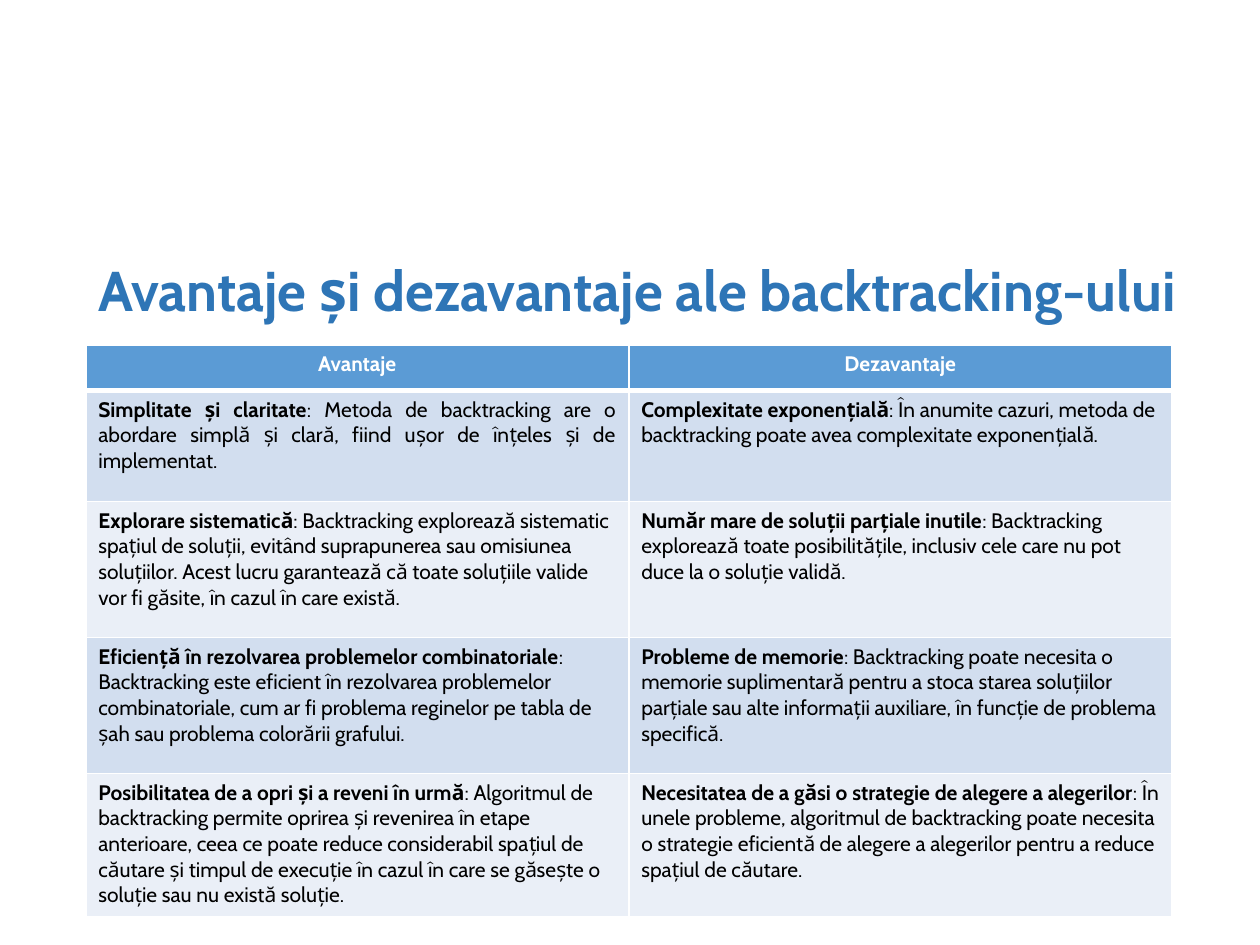
from lxml.etree import SubElement
from pptx import Presentation
from pptx.dml.color import RGBColor
from pptx.enum.text import MSO_AUTO_SIZE, PP_ALIGN
from pptx.oxml.ns import qn
from pptx.util import Pt

FONT = "Cabin"
WHITE = RGBColor(0xFF, 0xFF, 0xFF)
BLACK = RGBColor(0, 0, 0)
TITLE = RGBColor(0x2E, 0x75, 0xB6)
HEAD = RGBColor(0x5B, 0x9B, 0xD5)
BANDS = [RGBColor(0xD2, 0xDE, 0xEF), RGBColor(0xEA, 0xEF, 0xF7)]

HEADS = ["Avantaje", "Dezavantaje"]
POINTS = [
    [("Simplitate și claritate",
      "Metoda de backtracking are o abordare simplă și clară, fiind ușor de "
      "înțeles și de implementat."),
     ("Complexitate exponențială",
      "În anumite cazuri, metoda de backtracking poate avea complexitate "
      "exponențială.")],
    [("Explorare sistematică",
      "Backtracking explorează sistematic spațiul de soluții, evitând "
      "suprapunerea sau omisiunea soluțiilor. Acest lucru garantează că toate "
      "soluțiile valide vor fi găsite, în cazul în care există."),
     ("Număr mare de soluții parțiale inutile",
      "Backtracking explorează toate posibilitățile, inclusiv cele care nu pot "
      "duce la o soluție validă.")],
    [("Eficiență în rezolvarea problemelor combinatoriale",
      "Backtracking este eficient în rezolvarea problemelor combinatoriale, "
      "cum ar fi problema reginelor pe tabla de șah sau problema colorării "
      "grafului."),
     ("Probleme de memorie",
      "Backtracking poate necesita o memorie suplimentară pentru a stoca starea "
      "soluțiilor parțiale sau alte informații auxiliare, în funcție de "
      "problema specifică.")],
    [("Posibilitatea de a opri și a reveni în urmă",
      "Algoritmul de backtracking permite oprirea și revenirea în etape "
      "anterioare, ceea ce poate reduce considerabil spațiul de căutare și "
      "timpul de execuție în cazul în care se găsește o soluție sau nu există "
      "soluție."),
     ("Necesitatea de a găsi o strategie de alegere a alegerilor",
      "În unele probleme, algoritmul de backtracking poate necesita o strategie "
      "eficientă de alegere a alegerilor pentru a reduce spațiul de căutare.")],
]
ROWS = [25.9, 63.4, 77.7, 77.7, 82.1]


def style(run, size, color, bold=True):
    run.font.name = FONT
    run.font.size = Pt(size)
    run.font.color.rgb = color
    run.font.bold = bold


def paint(cell, fill, top=1, base=1):
    props = cell._tc.get_or_add_tcPr()
    for side, width in (("L", 1), ("R", 1), ("T", top), ("B", base)):
        line = SubElement(props, qn(f"a:ln{side}"), w=str(Pt(width)))
        solid = SubElement(line, qn("a:solidFill"))
        SubElement(solid, qn("a:srgbClr"), val=str(WHITE))
    cell.fill.solid()
    cell.fill.fore_color.rgb = fill


def add_title(slide, left, top, width, height):
    box = slide.shapes.add_textbox(Pt(left), Pt(top), Pt(width), Pt(height))
    frame = box.text_frame
    frame.word_wrap = True
    frame.auto_size = MSO_AUTO_SIZE.SHAPE_TO_FIT_TEXT
    frame.text = "Avantaje și dezavantaje ale backtracking-ului"
    style(frame.paragraphs[0].runs[0], 32, TITLE)


def add_grid(slide, left, top, width):
    grid = slide.shapes.add_table(
        len(ROWS), len(HEADS), Pt(left), Pt(top), Pt(width), Pt(sum(ROWS))).table
    for row, height in zip(grid.rows, ROWS):
        row.height = Pt(height)
    for col, text in enumerate(HEADS):
        grid.columns[col].width = Pt(width / len(HEADS))
        cell = grid.cell(0, col)
        paint(cell, HEAD, base=3)
        para = cell.text_frame.paragraphs[0]
        para.text = text
        para.alignment = PP_ALIGN.CENTER
        style(para.runs[0], 12, WHITE)
    for row, pair in enumerate(POINTS, 1):
        for col, (name, body) in enumerate(pair):
            cell = grid.cell(row, col)
            paint(cell, BANDS[(row - 1) % 2], top=3 if row == 1 else 1)
            para = cell.text_frame.paragraphs[0]
            para.text = name
            style(para.runs[0], 12, BLACK)
            run = para.add_run()
            run.text = f": {body}"
            style(run, 12, BLACK, False)
    grid.cell(1, 0).text_frame.paragraphs[0].alignment = PP_ALIGN.JUSTIFY


def main():
    deck = Presentation()
    deck.slide_width, deck.slide_height = Pt(720), Pt(540)
    slide = deck.slides.add_slide(deck.slide_layouts[6])
    add_title(slide, 49, 142.6, 671, 46)
    add_grid(slide, 49, 197.3, 620.6)
    deck.save("out.pptx")


if __name__ == "__main__":
    main()
